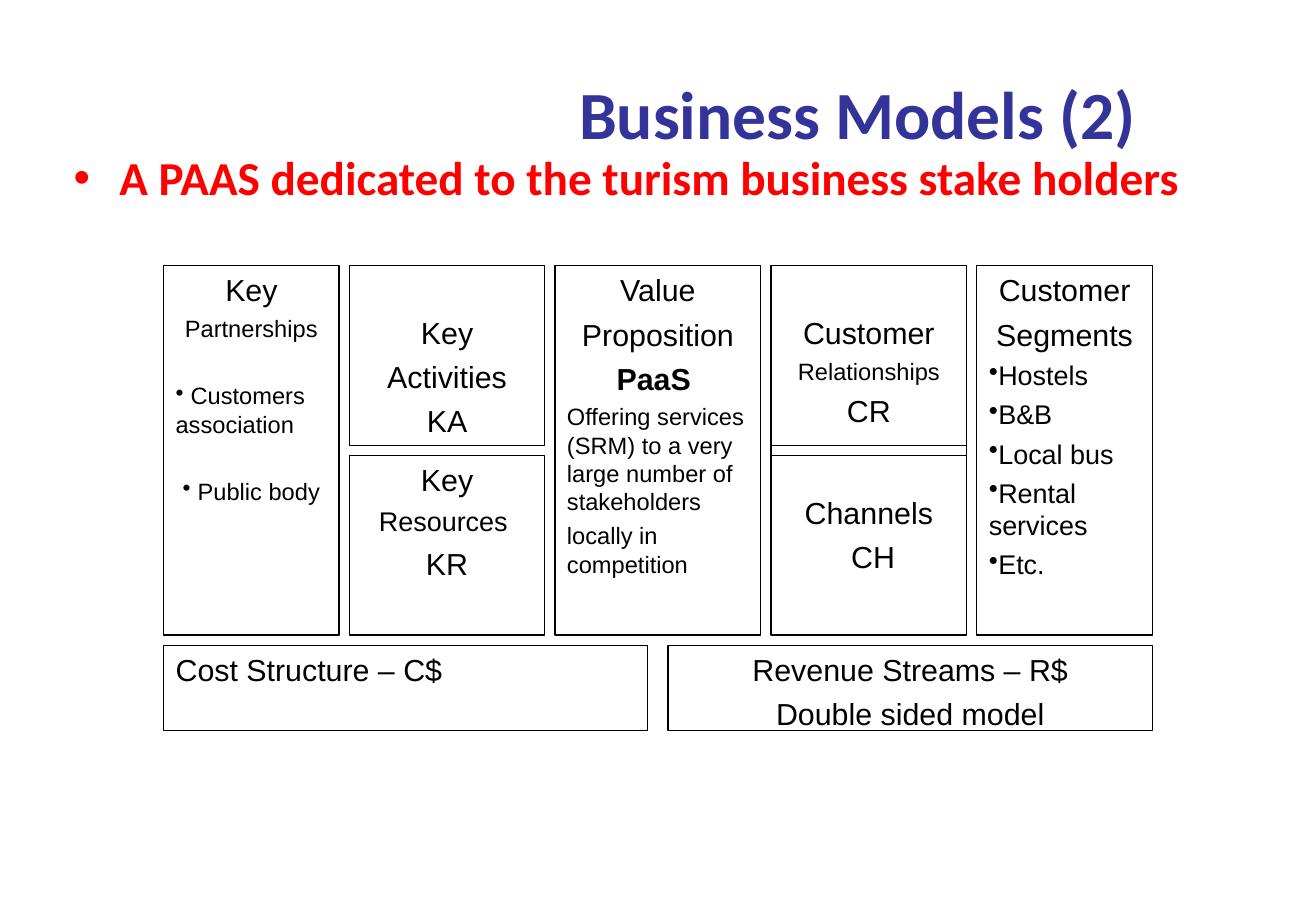
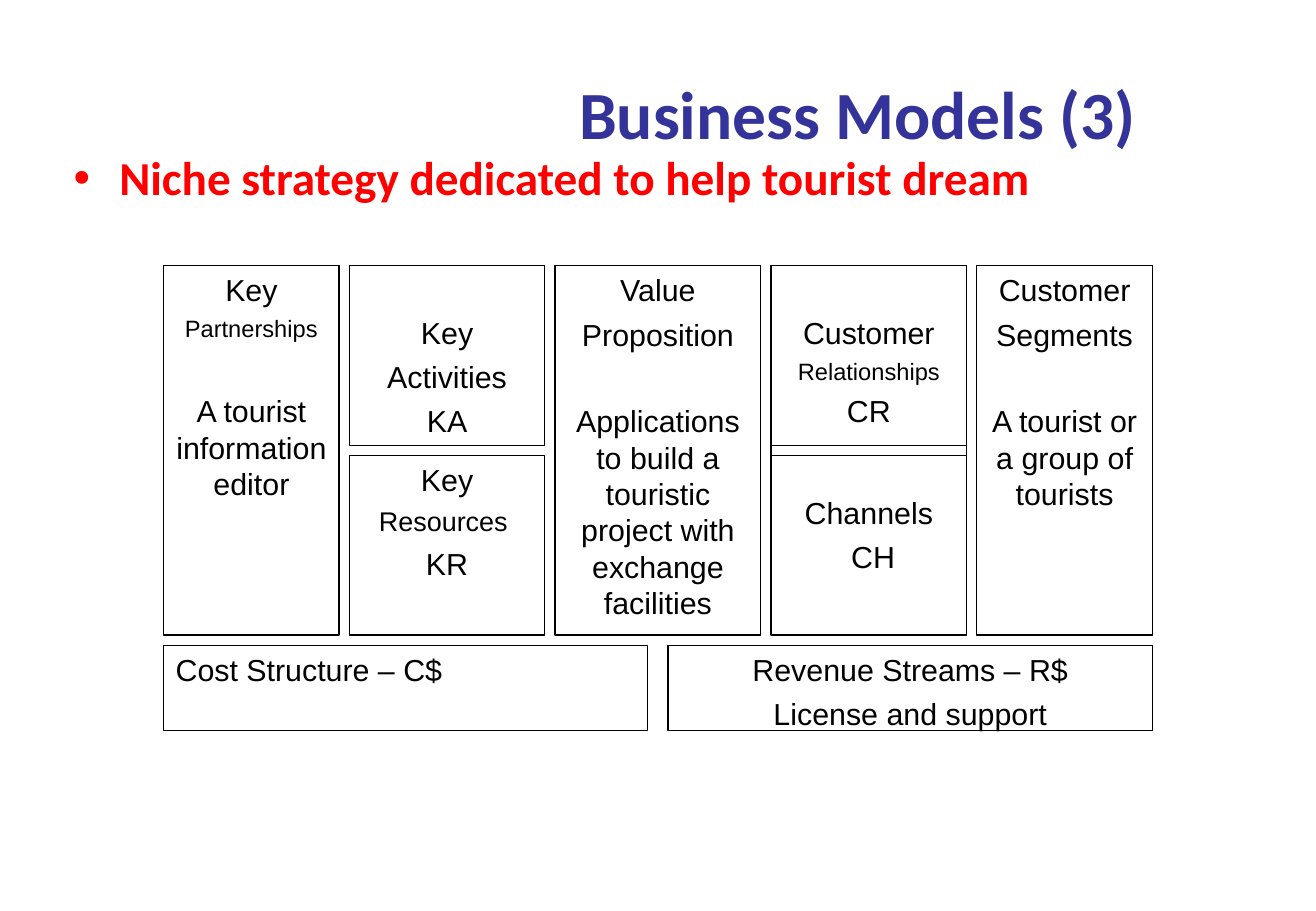
import pptx
import pptx.dml.color
import pptx.enum.shapes
import pptx.enum.text
import pptx.oxml
import pptx.oxml.ns
import pptx.util
from typing import NamedTuple

Pt = pptx.util.Pt
ALIGN = pptx.enum.text.PP_ALIGN
COLORS = {"title": "333399", "lead": "FF0000", "ink": "000000"}
LEFT, TOP, GAP = 97, 157.5, 6
WIDTHS = [104, 116, 122, 116, 104]
TALL, LOW, WIDE = 219, 50.5, 287
HALF = (TALL - GAP) / 2
INSET = 3.6


class Line(NamedTuple):
    """One paragraph of a box; skip is the text size of a line left free above."""
    text: str
    size: float = 18
    center: bool = True
    bullet: bool = False
    bold: bool = False
    skip: float = 0


def tint(name):
    """Return a named colour."""
    return pptx.dml.color.RGBColor.from_string(COLORS[name])


def place(shape, left, top, width, height):
    """Move and size a placeholder."""
    shape.left, shape.top = Pt(left), Pt(top)
    shape.width, shape.height = Pt(width), Pt(height)


def add_run(para, text, size, font, color, bold=False):
    """Add one formatted run."""
    run = para.add_run()
    run.text = text
    run.font.size, run.font.name, run.font.bold = Pt(size), font, bold
    run.font.color.rgb = tint(color)


def add_dot(para, indent=0):
    """Give a paragraph a round bullet and a hanging indent."""
    props = para._p.get_or_add_pPr()
    props.set("marL", str(Pt(indent)))
    props.set("indent", str(-Pt(indent)))
    props.append(pptx.oxml.parse_xml(
        f'<a:buChar {pptx.oxml.ns.nsdecls("a")} char="\u2022"/>'))


def add_head(slide, title, lead):
    """Fill the title and the red lead line."""
    head, body = slide.shapes.title, slide.placeholders[1]
    place(head, 260.5, 21.5, 495.5, 90)
    place(body, 36.5, 84.5, 725, 366)
    for shape in (head, body):
        shape.text_frame.auto_size = pptx.enum.text.MSO_AUTO_SIZE.NONE
    head.text_frame.vertical_anchor = pptx.enum.text.MSO_ANCHOR.MIDDLE
    para = head.text_frame.paragraphs[0]
    para.alignment = ALIGN.CENTER
    add_run(para, title, 40, "Calibri", "title", True)
    para = body.text_frame.paragraphs[0]
    add_dot(para, 27)
    add_run(para, lead, 28, "Calibri", "lead", True)


def add_box(slide, left, top, width, height, lines):
    """Draw an outlined box with its lines of text."""
    box = slide.shapes.add_shape(pptx.enum.shapes.MSO_SHAPE.RECTANGLE,
                                 Pt(left), Pt(top), Pt(width), Pt(height))
    box.shadow.inherit = False
    box.fill.background()
    box.line.color.rgb, box.line.width = tint("ink"), Pt(0.75)
    frame = box.text_frame
    frame.word_wrap = True
    frame.vertical_anchor = pptx.enum.text.MSO_ANCHOR.TOP
    frame.margin_top = Pt(INSET + 1.4 * lines[0].skip)
    for num, line in enumerate(lines):
        para = frame.add_paragraph() if num else frame.paragraphs[0]
        para.alignment = ALIGN.CENTER if line.center else ALIGN.LEFT
        if num:
            para.space_before = Pt(0.25 * line.size + 1.4 * line.skip)
        if line.bullet:
            add_dot(para)
        add_run(para, line.text, line.size, "Arial", "ink", line.bold)


def add_canvas(slide, partners, value, segments, revenue):
    """Lay out the business model canvas."""
    lefts = [LEFT + sum(WIDTHS[:col]) + GAP * col for col in range(len(WIDTHS))]
    mid, base = TOP + HALF + GAP, TOP + TALL + GAP
    heads = {0: [Line("Key"), Line("Partnerships", 14)] + partners,
             2: [Line("Value"), Line("Proposition")] + value,
             4: [Line("Customer"), Line("Segments")] + segments}
    for col, lines in heads.items():
        add_box(slide, lefts[col], TOP, WIDTHS[col], TALL, lines)
    halves = [
        (1, TOP, HALF, [Line("Key", skip=18), Line("Activities"), Line("KA")]),
        (1, mid, HALF, [Line("Key"), Line("Resources ", 16), Line("KR")]),
        (3, TOP, HALF + GAP, [Line("Customer", skip=18),
                              Line("Relationships", 14), Line("CR")]),
        (3, mid - GAP, HALF + GAP, [Line("Channels", skip=18), Line(" CH")]),
    ]
    for col, top, height, lines in halves:
        add_box(slide, lefts[col], top, WIDTHS[col], height, lines)
    add_box(slide, LEFT, base, WIDE, LOW,
            [Line("Cost Structure \u2013 C$", center=False)])
    add_box(slide, LEFT + WIDE + 2 * GAP, base, WIDE, LOW,
            [Line("Revenue Streams \u2013 R$"), Line(revenue)])


def main():
    """Build both slides and save the deck."""
    deck = pptx.Presentation()
    deck.slide_width, deck.slide_height = Pt(780), Pt(540)
    stays = ["Hostels", "B&B", "Local bus", "Rental services", "Etc."]
    models = [
        ("Business Models (2)",
         "A PAAS dedicated to the turism business stake holders",
         [Line(" Customers association", 14, False, True, skip=14),
          Line(" Public body", 14, bullet=True, skip=14)],
         [Line("PaaS ", bold=True),
          Line("Offering services (SRM) to a very large number of stakeholders",
               14, False),
          Line("locally in competition ", 14, False)],
         [Line(name, 16, False, True) for name in stays],
         "Double sided model"),
        ("Business Models (3)",
         "Niche strategy dedicated to help tourist dream",
         [Line("A tourist information editor", skip=18)],
         [Line("Applications to build a touristic project with "
               "exchange facilities", skip=18)],
         [Line("A tourist or a group of tourists", skip=18)],
         "License and support"),
    ]
    for title, lead, *parts in models:
        slide = deck.slides.add_slide(deck.slide_layouts[1])
        add_head(slide, title, lead)
        add_canvas(slide, *parts)
    deck.save("out.pptx")


main()
